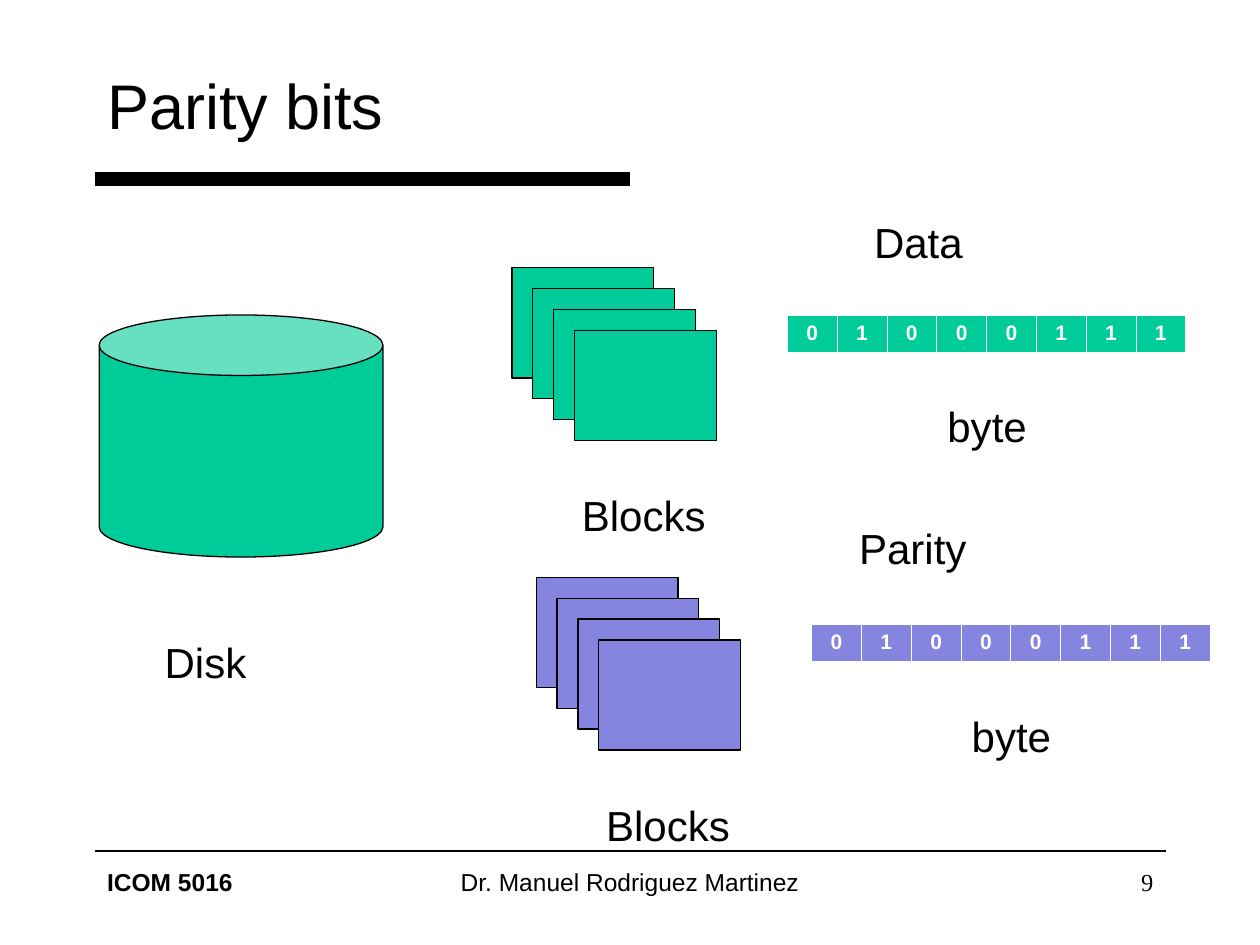
from dataclasses import dataclass

from lxml import etree
from pptx import Presentation
from pptx.dml.color import RGBColor
from pptx.enum import shapes, text
from pptx.oxml import ns
from pptx.util import Cm, Pt

COLORS = {"ink": "000000", "paper": "FFFFFF", "data": "00CC99", "parity": "8585E0"}
BITS = "01000111"
BLOCK_COUNT, BLOCK_STEP = 4, 0.42
BORDERS = {"a:lnL": 0.45, "a:lnR": 0.45, "a:lnT": 0.45, "a:lnB": 1.47}
ALIGN = text.PP_ALIGN
SHAPE = shapes.MSO_SHAPE


@dataclass
class Label:
    words: str
    left: float
    top: float
    width: float
    height: float = 1.27
    size: int = 24
    bold: bool = False
    font: str = "Arial"
    align: text.PP_ALIGN = ALIGN.LEFT
    wrap: bool = False


@dataclass
class BlockGroup:
    color: str
    left: float
    top: float
    heading: Label


def rgb(name: str) -> RGBColor:
    return RGBColor.from_string(COLORS[name])


def draw_label(slide, label: Label) -> None:
    box = slide.shapes.add_textbox(
        Cm(label.left), Cm(label.top), Cm(label.width), Cm(label.height))
    frame = box.text_frame
    frame.word_wrap = label.wrap
    if not label.wrap:
        frame.auto_size = text.MSO_AUTO_SIZE.SHAPE_TO_FIT_TEXT
    paragraph = frame.paragraphs[0]
    paragraph.text = label.words
    paragraph.alignment = label.align
    font = paragraph.font
    font.name, font.size, font.bold = label.font, Pt(label.size), label.bold
    font.color.rgb = rgb("ink")
    if label.size > 24:
        frame.vertical_anchor = text.MSO_ANCHOR.MIDDLE


def draw_rule(slide, right: float, top: float, weight: float) -> None:
    rule = slide.shapes.add_connector(
        shapes.MSO_CONNECTOR.STRAIGHT, Cm(1.91), Cm(top), Cm(right), Cm(top))
    rule.line.color.rgb = rgb("ink")
    rule.line.width = Pt(weight)
    etree.SubElement(rule._element.spPr, ns.qn("a:effectLst"))


def draw_solid(slide, kind: SHAPE, color: str, left: float, top: float,
               width: float, height: float) -> None:
    solid = slide.shapes.add_shape(kind, Cm(left), Cm(top), Cm(width), Cm(height))
    solid.shadow.inherit = False
    solid.fill.solid()
    solid.fill.fore_color.rgb = rgb(color)
    solid.line.color.rgb = rgb("ink")
    solid.line.width = Pt(0.75)


def add_borders(cell) -> None:
    properties = cell._tc.get_or_add_tcPr()
    for index, (tag, weight) in enumerate(BORDERS.items()):
        border = etree.Element(ns.qn(tag), w=str(Pt(weight)))
        fill = etree.SubElement(border, ns.qn("a:solidFill"))
        etree.SubElement(fill, ns.qn("a:srgbClr"), val=COLORS["paper"])
        properties.insert(index, border)


def draw_byte(slide, color: str, left: float, top: float) -> None:
    byte = slide.shapes.add_table(
        1, len(BITS), Cm(left), Cm(top), Cm(8.04), Cm(0.75)).table
    for cell, bit in zip(byte.iter_cells(), BITS):
        cell.fill.solid()
        cell.fill.fore_color.rgb = rgb(color)
        paragraph = cell.text_frame.paragraphs[0]
        paragraph.text = bit
        paragraph.alignment = ALIGN.CENTER
        font = paragraph.font
        font.name, font.size, font.bold = "Arial", Pt(12), True
        font.color.rgb = rgb("paper")
        add_borders(cell)


def draw_group(slide, group: BlockGroup) -> None:
    for index in range(BLOCK_COUNT):
        shift = index * BLOCK_STEP
        draw_solid(slide, SHAPE.RECTANGLE, group.color,
                   group.left + shift, group.top + shift, 2.86, 2.22)
    draw_byte(slide, group.color, group.left + 5.55, group.top + 0.95)
    draw_label(slide, Label("Blocks", group.left + 1.16, group.top + 4.35, 3))
    draw_label(slide, Label("byte", group.left + 8.53, group.top + 2.55, 2.11))
    draw_label(slide, group.heading)


def main() -> None:
    """Build the parity bits slide."""
    deck = Presentation()
    deck.slide_width, deck.slide_height = Cm(25.4), Cm(19.05)
    slide = deck.slides.add_slide(deck.slide_layouts[6])

    draw_rule(slide, right=12.7, top=3.61, weight=8)
    draw_rule(slide, right=23.5, top=17.15, weight=1)
    draw_solid(slide, SHAPE.CAN, "data", 2, 6.35, 5.72, 4.88)

    labels = [
        Label("Parity bits", 1.91, 0.84, 21.59, 2.54, size=36, wrap=True),
        Label("ICOM 5016", 1.91, 17.35, 5.29, size=14, bold=True, wrap=True),
        Label("Dr. Manuel Rodriguez Martinez", 8.68, 17.35, 8.04, size=14,
              align=ALIGN.CENTER, wrap=True),
        Label("9", 18.21, 17.35, 5.29, size=14, font="Times New Roman",
              align=ALIGN.RIGHT, wrap=True),
        Label("Disk", 3.07, 12.7, 2.16),
    ]
    for label in labels:
        draw_label(slide, label)

    groups = [
        BlockGroup("data", 10.32, 5.4, Label("Data", 17.37, 4.24, 2.29)),
        BlockGroup("parity", 10.81, 11.64, Label("Parity", 17.07, 10.41, 2.67)),
    ]
    for group in groups:
        draw_group(slide, group)

    deck.save("out.pptx")


if __name__ == "__main__":
    main()
